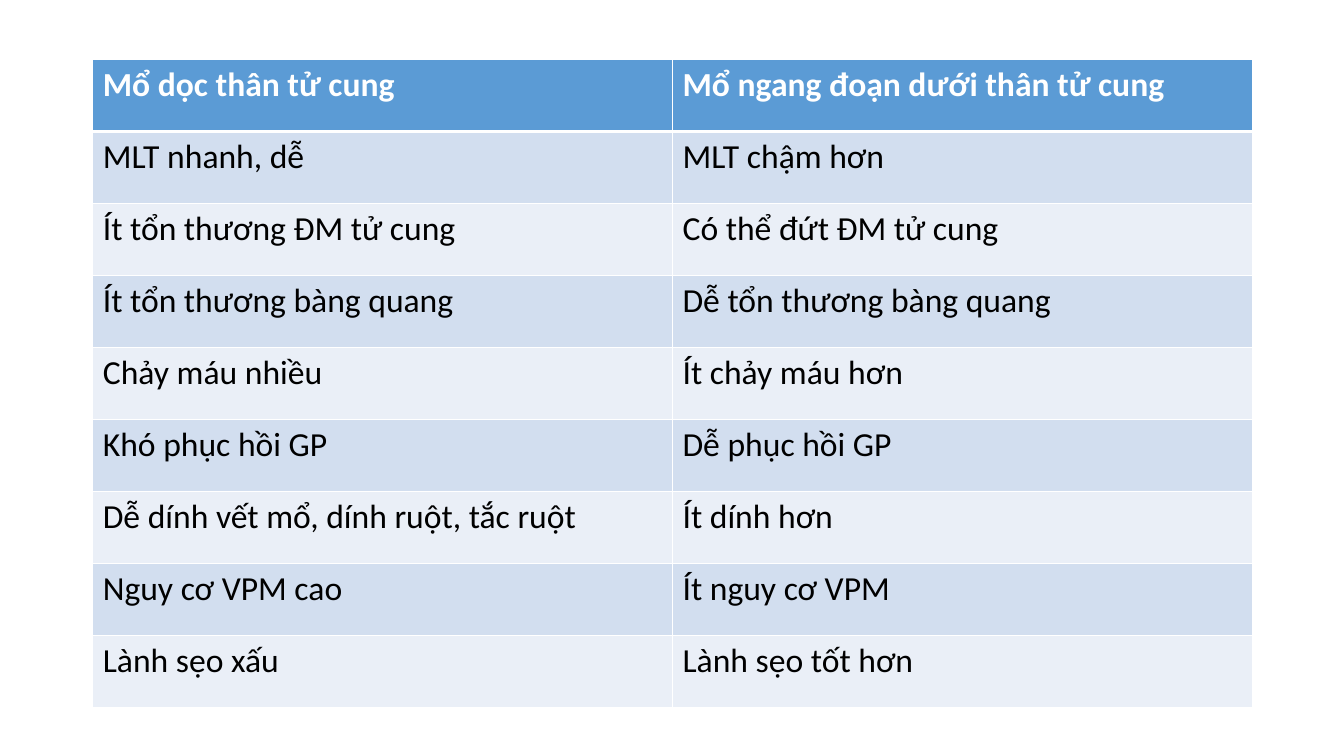
from dataclasses import dataclass

from lxml.etree import SubElement
from pptx import Presentation
from pptx.dml.color import RGBColor
from pptx.oxml.ns import qn
from pptx.util import Inches, Pt


@dataclass(frozen=True)
class Theme:
    font: str = "Calibri"
    size: int = 24
    header: str = "5B9BD5"
    bands: tuple = ("D2DEEF", "EAEFF7")
    light: str = "FFFFFF"
    dark: str = "000000"
    thin: int = 1
    thick: int = 3


class SlideBuilder:
    """Draws styled elements on one slide, placed by shares of its size."""

    def __init__(self, prs, theme):
        self.prs = prs
        self.theme = theme
        self.s = prs.slides.add_slide(prs.slide_layouts[6])

    def table(self, rows, left, top, width, height):
        w, h = self.prs.slide_width, self.prs.slide_height
        frame = self.s.shapes.add_table(
            len(rows), len(rows[0]),
            round(left * w), round(top * h), round(width * w), round(height * h))
        for i, row in enumerate(rows):
            for j, text in enumerate(row):
                self.cell(frame.table.cell(i, j), text, i)

    def cell(self, cell, text, row):
        t = self.theme
        is_header = row == 0
        self.borders(cell, t.thick if row == 1 else t.thin,
                     t.thick if is_header else t.thin)
        cell.fill.solid()
        fill = t.header if is_header else t.bands[(row - 1) % len(t.bands)]
        cell.fill.fore_color.rgb = RGBColor.from_string(fill)
        r = cell.text_frame.paragraphs[0].add_run()
        r.text = text
        r.font.name = t.font
        r.font.size = Pt(t.size)
        r.font.bold = is_header
        r.font.color.rgb = RGBColor.from_string(t.light if is_header else t.dark)

    def borders(self, cell, top, bottom):
        tc_pr = cell._tc.get_or_add_tcPr()
        thin = self.theme.thin
        for side, width in (("L", thin), ("R", thin), ("T", top), ("B", bottom)):
            ln = SubElement(tc_pr, qn(f"a:ln{side}"), w=str(Pt(width)))
            fill = SubElement(ln, qn("a:solidFill"))
            SubElement(fill, qn("a:srgbClr"), val=self.theme.light)


ROWS = [
    ("Mổ dọc thân tử cung", "Mổ ngang đoạn dưới thân tử cung"),
    ("MLT nhanh, dễ", "MLT chậm hơn"),
    ("Ít tổn thương ĐM tử cung", "Có thể đứt ĐM tử cung"),
    ("Ít tổn thương bàng quang", "Dễ tổn thương bàng quang"),
    ("Chảy máu nhiều", "Ít chảy máu hơn"),
    ("Khó phục hồi GP", "Dễ phục hồi GP"),
    ("Dễ dính vết mổ, dính ruột, tắc ruột", "Ít dính hơn"),
    ("Nguy cơ VPM cao", "Ít nguy cơ VPM"),
    ("Lành sẹo xấu", "Lành sẹo tốt hơn"),
]


def main():
    prs = Presentation()
    prs.slide_width, prs.slide_height = Inches(13.33), Inches(7.5)
    builder = SlideBuilder(prs, Theme())
    builder.table(ROWS, 0.92 / 13.33, 0.59 / 7.5, 11.5 / 13.33, 6.43 / 7.5)
    prs.save("out.pptx")


if __name__ == "__main__":
    main()
